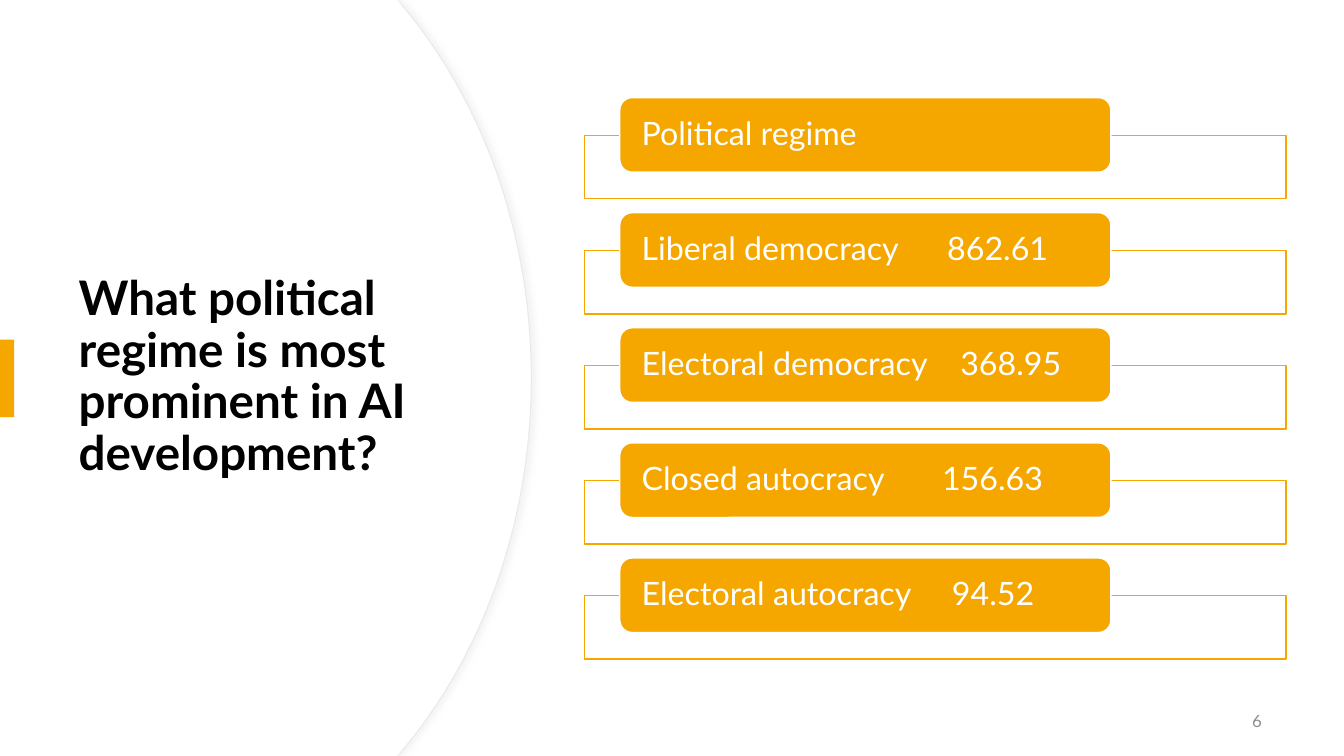
from lxml.etree import SubElement
from pptx import Presentation
from pptx.dml.color import RGBColor
from pptx.enum.shapes import MSO_SHAPE
from pptx.enum.text import MSO_ANCHOR, MSO_AUTO_SIZE, PP_ALIGN
from pptx.oxml.ns import qn
from pptx.util import Cm, Pt

COLORS = {"white": "FFFFFF", "black": "000000", "amber": "F5A700",
          "edge": "E9E9E9", "shade": "D9D9D9", "number": "8C8C8C"}
FONT = "Lato"
SLIDE_W, SLIDE_H = 33.87, 19.05

# Regime, value, distance of the value from the text edge in cm
REGIMES = [("Political regime", None, None),
           ("Liberal democracy", "862.61", 7.7),
           ("Electoral democracy", "368.95", 8.03),
           ("Closed autocracy", "156.63", 7.57),
           ("Electoral autocracy", "94.52", 7.82)]


def rgb(name):
    return RGBColor.from_string(COLORS[name])


def paint(sp, fill, line=None, width=1):
    sp.shadow.inherit = False
    sp.fill.solid()
    sp.fill.fore_color.rgb = rgb(fill)
    if line:
        sp.line.color.rgb = rgb(line)
        sp.line.width = Pt(width)
    else:
        sp.line.fill.background()


def add_box(s, kind, x, y, w, h, fill, line=None):
    sp = s.shapes.add_shape(kind, Cm(x), Cm(y), Cm(w), Cm(h))
    paint(sp, fill, line)
    return sp


def add_run(p, text, size, color, bold=False):
    r = p.add_run()
    r.text = text
    r.font.name = FONT
    r.font.size = Pt(size)
    r.font.bold = bold
    r.font.color.rgb = rgb(color)


def set_frame(tf):
    tf.word_wrap = True
    tf.auto_size = MSO_AUTO_SIZE.NONE
    tf.vertical_anchor = MSO_ANCHOR.MIDDLE


def add_shadow(sp):
    effects = sp.element.spPr.find(qn("a:effectLst"))
    shadow = SubElement(effects, qn("a:outerShdw"), blurRad=str(Pt(4)),
                        dist=str(Pt(3)), dir="0", algn="l", rotWithShape="0")
    color = SubElement(shadow, qn("a:srgbClr"), val=COLORS["shade"])
    SubElement(color, qn("a:alpha"), val="30000")


def bend(sp, first, count):
    """Turn each three line ends from the given one on into one curve."""
    lines = list(sp.element.iter(qn("a:lnTo")))
    for i in range(first, first + 3 * count, 3):
        start, *others = lines[i:i + 3]
        start.tag = qn("a:cubicBezTo")
        for line in others:
            start.append(line[0])
            line.getparent().remove(line)


def add_dome(s, right, h, line=None):
    """White panel with a rounded right side, symmetric about its middle."""
    upper = [(10.01, 0), (right - 3.2, 0.2), (right - 1.22, 2.59),
             (right, 5.89), (right, h / 2)]
    lower = [(x, h - y) for x, y in reversed(upper[:-1])]
    builder = s.shapes.build_freeform(0, 0)
    builder.add_line_segments([(Cm(x), Cm(y)) for x, y in upper + lower + [(0, h)]])
    sp = builder.convert_to_shape()
    bend(sp, 2, 2)
    paint(sp, "white", line, 0.75)
    if line:
        add_shadow(sp)


def add_question(s, x, y, w, h):
    title = s.shapes.title
    title.left, title.top, title.width, title.height = Cm(x), Cm(y), Cm(w), Cm(h)
    title.element.getparent().append(title.element)  # in front of the panel
    tf = title.text_frame
    set_frame(tf)
    p = tf.paragraphs[0]
    p.alignment = PP_ALIGN.LEFT
    p.line_spacing = 0.9
    add_run(p, "What political regime is most prominent in AI development?",
            34, "black", True)


def add_regime(s, x, y, w, name, value, tab):
    # Outlined bar behind the label
    bar = add_box(s, MSO_SHAPE.RECTANGLE, x, y + 0.95, w, 1.6, "white", "amber")
    color = bar.element.spPr.find(qn("a:solidFill")).find(qn("a:srgbClr"))
    SubElement(color, qn("a:alpha"), val="90000")
    # Label
    pill = add_box(s, MSO_SHAPE.ROUNDED_RECTANGLE, x + 0.89, y, 0.7 * w, 1.88,
                   "amber", "white")
    tf = pill.text_frame
    set_frame(tf)
    tf.margin_left = tf.margin_right = Cm(0.46)
    tf.margin_top = tf.margin_bottom = 0
    p = tf.paragraphs[0]
    p.alignment = PP_ALIGN.LEFT
    p.line_spacing = 0.9
    add_run(p, name, 23, "white")
    if value:
        tabs = SubElement(p._p.get_or_add_pPr(), qn("a:tabLst"))
        SubElement(tabs, qn("a:tab"), pos=str(Cm(tab)), algn="l")
        add_run(p, "\t" + value, 23, "white")


def add_regimes(s, x, y, w, pitch):
    for i, (name, value, tab) in enumerate(REGIMES):
        add_regime(s, x, y + i * pitch, w, name, value, tab)


def add_number(s, x, y, w, h):
    tf = s.shapes.add_textbox(Cm(x), Cm(y), Cm(w), Cm(h)).text_frame
    set_frame(tf)
    p = tf.paragraphs[0]
    p.alignment = PP_ALIGN.RIGHT
    p.space_after = Pt(6)
    add_run(p, "6", 12, "number")


def main():
    prs = Presentation()
    prs.slide_width, prs.slide_height = Cm(SLIDE_W), Cm(SLIDE_H)
    s = prs.slides.add_slide(prs.slide_layouts[5])
    # Backdrop
    add_box(s, MSO_SHAPE.RECTANGLE, 0, 0, SLIDE_W, SLIDE_H, "white")
    # Left side
    add_dome(s, 13.39, SLIDE_H, "edge")
    add_dome(s, 13.36, SLIDE_H)
    add_question(s, 1.73, 3.23, 10, 12.57)
    add_box(s, MSO_SHAPE.RECTANGLE, 0, 8.56, 0.36, 1.95, "amber")
    # Right side
    add_number(s, 24.43, 17.65, 7.62, 1.02)
    add_regimes(s, 14.73, 2.46, 17.68, 2.9)
    prs.save("out.pptx")


if __name__ == "__main__":
    main()
